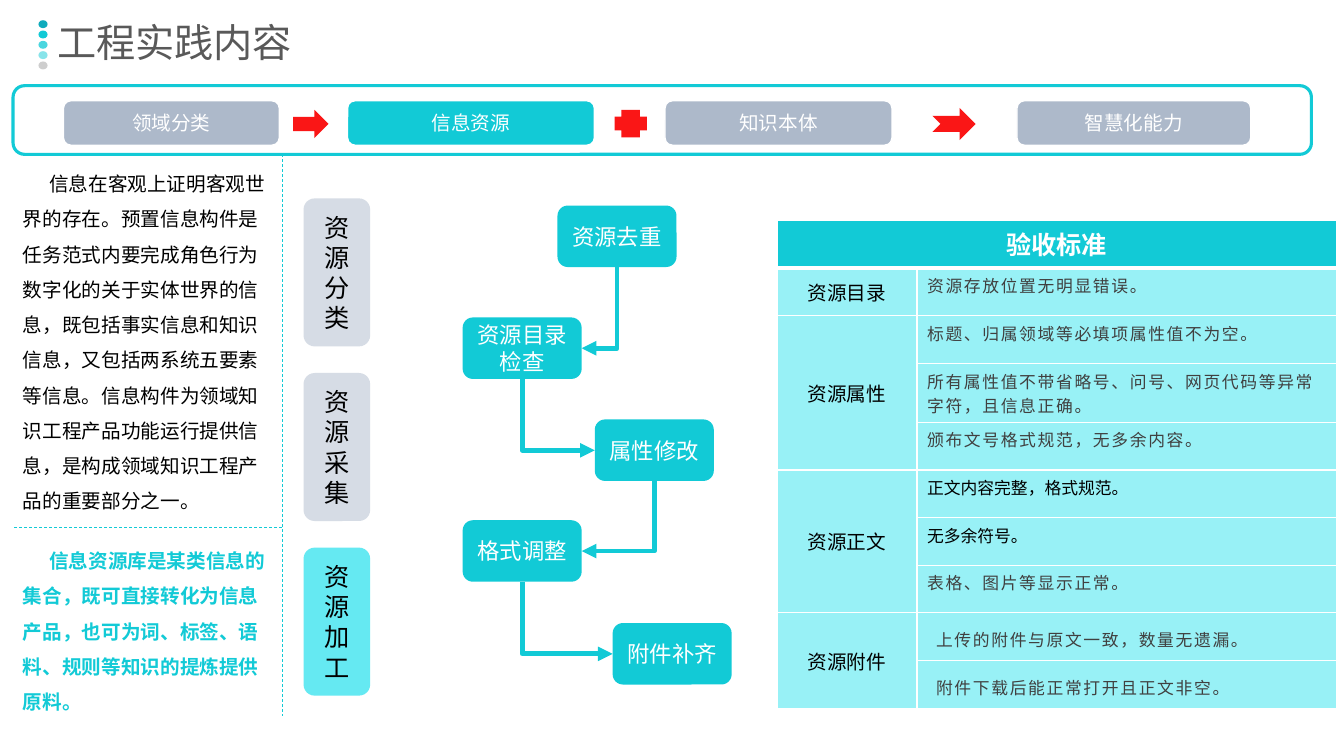
from dataclasses import dataclass
from itertools import pairwise

from lxml import etree
from pptx import Presentation
from pptx.dml.color import RGBColor
from pptx.enum.dml import MSO_LINE
from pptx.enum.shapes import MSO_CONNECTOR, MSO_SHAPE
from pptx.enum.text import MSO_ANCHOR, PP_ALIGN
from pptx.oxml.ns import qn
from pptx.util import Cm, Pt

FONT = "Noto Sans CJK SC"
TEAL = RGBColor(0x12, 0xCA, 0xD6)
DARK_TEAL = RGBColor(0x0F, 0xAB, 0xBC)
BRIGHT_TEAL = RGBColor(0x65, 0xE9, 0xF2)
PALE_TEAL = RGBColor(0x98, 0xF1, 0xF6)
SLATE = RGBColor(0xAD, 0xB9, 0xCA)
PALE_SLATE = RGBColor(0xD6, 0xDC, 0xE5)
RED = RGBColor(0xFA, 0x16, 0x16)
GREY = RGBColor(0xBF, 0xBF, 0xBF)
TITLE_GREY = RGBColor(0x59, 0x59, 0x59)
TEXT_GREY = RGBColor(0x40, 0x40, 0x40)
BLACK = RGBColor(0, 0, 0)
WHITE = RGBColor(0xFF, 0xFF, 0xFF)
ROUNDED, OVAL = MSO_SHAPE.ROUNDED_RECTANGLE, MSO_SHAPE.OVAL
RIGHT_ARROW, CROSS = MSO_SHAPE.RIGHT_ARROW, MSO_SHAPE.CROSS
NOTCHED_ARROW = MSO_SHAPE.NOTCHED_RIGHT_ARROW
STRAIGHT, ELBOW = MSO_CONNECTOR.STRAIGHT, MSO_CONNECTOR.ELBOW
DASH = MSO_LINE.DASH
CENTER, LEFT = PP_ALIGN.CENTER, PP_ALIGN.LEFT
MIDDLE, TOP = MSO_ANCHOR.MIDDLE, MSO_ANCHOR.TOP
BOTTOM_SITE, LEFT_SITE, RIGHT_SITE = 2, 1, 3


@dataclass
class Style:
    size: float
    color: RGBColor
    bold: bool = False
    align: PP_ALIGN = CENTER
    line_spacing: float = 1.0
    tracking: int = 0
    indent: float = 0


@dataclass
class Block:
    left: float
    top: float
    width: float
    height: float
    fill: RGBColor | None
    text: str = ""
    style: Style | None = None
    kind: MSO_SHAPE = ROUNDED
    line: RGBColor | None = None
    line_width: float = 1
    opacity: int = 100


@dataclass
class Criterion:
    text: str
    color: RGBColor = TEXT_GREY
    tracking: int = 120
    inset: bool = False


BAR = Style(14, WHITE)
STAGE = Style(18, BLACK)
STEP = Style(16, WHITE)
HEADER = Style(18, WHITE, bold=True)
CATEGORY = Style(14, BLACK)
INTRO = Style(14, BLACK, align=LEFT, line_spacing=1.5, indent=0.66)
SUMMARY = Style(14, TEAL, True, LEFT, 1.5, indent=0.66)

DOTS = [(DARK_TEAL, 100), (TEAL, 100), (TEAL, 76), (TEAL, 50), (GREY, 76)]
BARS = [(1.6, 5.44, SLATE, "领域分类"), (8.76, 6.22, TEAL, "信息资源"),
        (16.76, 5.72, SLATE, "知识本体"), (25.63, 5.89, SLATE, "智慧化能力")]
STAGES = [("资源分类", PALE_SLATE), ("资源采集", PALE_SLATE), ("资源加工", BRIGHT_TEAL)]
STEPS = [(14.05, 5.18, "资源去重"), (11.66, 8, "资源目录检查"), (14.99, 10.57, "属性修改"),
         (11.66, 13.11, "格式调整"), (15.44, 15.7, "附件补齐")]
BLOCKS = [
    *[Block(0.97, 0.51 + 0.26 * index, 0.23, 0.2, color, kind=OVAL, opacity=opacity)
      for index, (color, opacity) in enumerate(DOTS)],
    Block(0.33, 2.16, 32.72, 1.73, None, line=TEAL, line_width=2.25),
    *[Block(left, 2.54, width, 1.12, color, text, BAR, line=WHITE)
      for left, width, color, text in BARS],
    Block(7.39, 2.77, 0.89, 0.71, RED, kind=RIGHT_ARROW),
    Block(15.49, 2.77, 0.81, 0.69, RED, kind=CROSS),
    Block(23.5, 2.72, 1.09, 0.81, RED, kind=NOTCHED_ARROW),
    *[Block(7.65, 5 + 4.4 * index, 1.68, 3.73, color, text, STAGE)
      for index, (text, color) in enumerate(STAGES)],
]
CRITERIA = {
    "资源目录": [Criterion("资源存放位置无明显错误。")],
    "资源属性": [Criterion("标题、归属领域等必填项属性值不为空。"),
             Criterion("所有属性值不带省略号、问号、网页代码等异常字符，且信息正确。"),
             Criterion("颁布文号格式规范，无多余内容。")],
    "资源正文": [Criterion("正文内容完整，格式规范。", BLACK, 0),
             Criterion("无多余符号。", BLACK, 0),
             Criterion("表格、图片等显示正常。")],
    "资源附件": [Criterion("上传的附件与原文一致，数量无遗漏。", inset=True),
             Criterion("附件下载后能正常打开且正文非空。", inset=True)],
}
INTRO_TEXT = ("信息在客观上证明客观世界的存在。预置信息构件是任务范式内要完成角色行为数字化的"
              "关于实体世界的信息，既包括事实信息和知识信息，又包括两系统五要素等信息。"
              "信息构件为领域知识工程产品功能运行提供信息，是构成领域知识工程产品的重要部分之一。")
SUMMARY_TEXT = ("信息资源库是某类信息的集合，既可直接转化为信息产品，"
                "也可为词、标签、语料、规则等知识的提炼提供原料。")


def write(frame, text: str, style: Style) -> None:
    paragraph = frame.paragraphs[0]
    paragraph.alignment = style.align
    paragraph.line_spacing = style.line_spacing
    if style.indent:
        paragraph._p.get_or_add_pPr().set("indent", str(Cm(style.indent)))
    run = paragraph.add_run()
    run.text = text
    run.font.name = FONT
    run.font.size = Pt(style.size)
    run.font.bold = style.bold
    run.font.color.rgb = style.color
    properties = run._r.get_or_add_rPr()
    properties.set("spc", str(style.tracking))
    etree.SubElement(properties, qn("a:ea"), typeface=FONT)


def add_block(slide, block: Block):
    shape = slide.shapes.add_shape(block.kind, Cm(block.left), Cm(block.top),
                                   Cm(block.width), Cm(block.height))
    shape.shadow.inherit = False
    if block.fill is None:
        shape.fill.background()
    else:
        shape.fill.solid()
        shape.fill.fore_color.rgb = block.fill
    if block.opacity < 100:
        color = shape._element.spPr.find(".//" + qn("a:srgbClr"))
        etree.SubElement(color, qn("a:alpha"), val=str(block.opacity * 1000))
    if block.line is None:
        shape.line.fill.background()
    else:
        shape.line.color.rgb = block.line
        shape.line.width = Pt(block.line_width)
    if block.style:
        write(shape.text_frame, block.text, block.style)
    return shape


def add_line(slide, kind: MSO_CONNECTOR, ends: tuple, width: float):
    connector = slide.shapes.add_connector(kind, *ends)
    connector.line.color.rgb = TEAL
    connector.line.width = Pt(width)
    etree.SubElement(connector._element.spPr, qn("a:effectLst"))
    return connector


def add_elbow(slide, source, target) -> None:
    start_x, start_y = source.left + source.width // 2, source.top + source.height
    leftward = target.left < source.left
    end_x = target.left + (target.width if leftward else 0)
    end_y = target.top + target.height // 2
    connector = add_line(slide, ELBOW, (start_x, start_y, end_x, end_y), 3.5)
    connector.begin_connect(source, BOTTOM_SITE)
    connector.end_connect(target, RIGHT_SITE if leftward else LEFT_SITE)
    properties = connector._element.spPr
    properties.find(qn("a:prstGeom")).set("prst", "bentConnector2")
    transform = properties.find(qn("a:xfrm"))
    for flip in ("flipH", "flipV"):
        transform.attrib.pop(flip, None)
    transform.set("rot", "5400000")
    if not leftward:
        transform.set("flipV", "1")
    drop, reach = end_y - start_y, abs(end_x - start_x)
    connector.left = (start_x + end_x - drop) // 2
    connector.top = (start_y + end_y - reach) // 2
    connector.width, connector.height = drop, reach
    etree.SubElement(connector.line._get_or_add_ln(), qn("a:tailEnd"), type="triangle")


def add_text(slide, top: float, height: float, text: str, style: Style) -> None:
    box = slide.shapes.add_textbox(Cm(0.33), Cm(top), Cm(6.78), Cm(height))
    box.text_frame.word_wrap = True
    write(box.text_frame, text, style)


def format_cell(cell, row: int) -> None:
    properties = cell._tc.get_or_add_tcPr()
    for side in ("lnL", "lnR", "lnT", "lnB"):
        thick = (row, side) in ((0, "lnB"), (1, "lnT"))
        border = etree.SubElement(properties, qn("a:" + side), w=str(Pt(3 if thick else 1)))
        fill = etree.SubElement(border, qn("a:solidFill"))
        etree.SubElement(fill, qn("a:srgbClr"), val=str(WHITE))
    cell.fill.solid()
    cell.fill.fore_color.rgb = PALE_TEAL if row else TEAL


def add_criteria_table(slide) -> None:
    count = 1 + sum(len(criteria) for criteria in CRITERIA.values())
    table = slide.shapes.add_table(count, 2, Cm(19.58), Cm(5.56), Cm(14.1), Cm(1.2 * count)).table
    table.columns[0].width, table.columns[1].width = Cm(3.53), Cm(10.57)
    for row in range(count):
        for column in range(2):
            format_cell(table.cell(row, column), row)
    table.cell(0, 0).merge(table.cell(0, 1))
    write(table.cell(0, 0).text_frame, "验收标准", HEADER)
    row = 1
    for category, criteria in CRITERIA.items():
        heading = table.cell(row, 0)
        if len(criteria) > 1:
            heading.merge(table.cell(row + len(criteria) - 1, 0))
        heading.vertical_anchor = MIDDLE
        write(heading.text_frame, category, CATEGORY)
        for row, criterion in enumerate(criteria, row):
            cell = table.cell(row, 1)
            if criterion.inset:
                cell.vertical_anchor = MIDDLE
                cell.margin_left = cell.margin_right = Cm(0.48)
                cell.margin_top = cell.margin_bottom = Cm(0.03)
            write(cell.text_frame, criterion.text,
                  Style(12, criterion.color, align=LEFT, tracking=criterion.tracking,
                        line_spacing=1.2 if criterion.inset else 1.0))
        row += 1


def main() -> None:
    presentation = Presentation()
    presentation.slide_width, presentation.slide_height = Cm(33.87), Cm(19.05)
    slide = presentation.slides.add_slide(presentation.slide_layouts[5])
    title = slide.shapes.title
    title.left, title.top, title.width, title.height = Cm(1.19), Cm(0.48), Cm(13.82), Cm(1.32)
    title.text_frame.vertical_anchor = MIDDLE
    write(title.text_frame, "工程实践内容", Style(28, TITLE_GREY, align=LEFT, line_spacing=0.9))
    for block in BLOCKS:
        add_block(slide, block)
    steps = [add_block(slide, Block(left, top, 3, 1.55, TEAL, text, STEP))
             for left, top, text in STEPS]
    for source, target in pairwise(steps):
        add_elbow(slide, source, target)
    add_criteria_table(slide)
    add_text(slide, 3.91, 9.22, INTRO_TEXT, INTRO)
    add_text(slide, 13.41, 4.75, SUMMARY_TEXT, SUMMARY)
    for ends in ((7.11, 3.89, 7.11, 18.03), (7.11, 13.28, 0.33, 13.28)):
        add_line(slide, STRAIGHT, tuple(map(Cm, ends)), 0.5).line.dash_style = DASH
    presentation.save("out.pptx")


if __name__ == "__main__":
    main()
